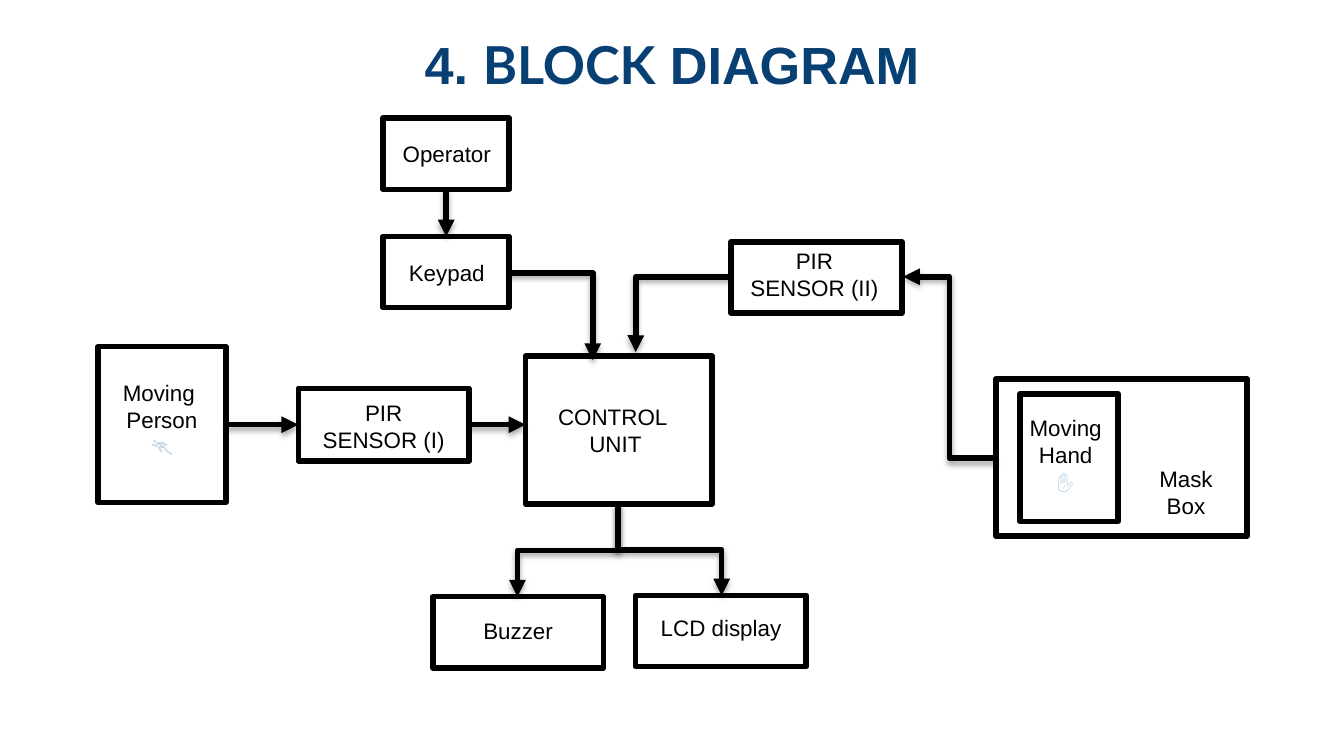
from lxml import etree
from pptx import Presentation
from pptx.dml.color import RGBColor
from pptx.enum.shapes import MSO_CONNECTOR, MSO_SHAPE
from pptx.enum.text import MSO_ANCHOR, PP_ALIGN
from pptx.oxml import parse_xml
from pptx.oxml.ns import nsdecls, qn
from pptx.util import Inches, Pt

RECTANGLE = MSO_SHAPE.RECTANGLE
STRAIGHT, ELBOW = MSO_CONNECTOR.STRAIGHT, MSO_CONNECTOR.ELBOW
CENTER, TOP = PP_ALIGN.CENTER, MSO_ANCHOR.TOP
BLACK = RGBColor(0x00, 0x00, 0x00)
NAVY = RGBColor(0x09, 0x40, 0x73)
PALE_BLUE = RGBColor(0xC6, 0xDA, 0xEC)
TOP_SIDE, LEFT_SIDE, BOTTOM_SIDE, RIGHT_SIDE = range(4)
SLIDE_WIDTH = Inches(10)
SLIDE_HEIGHT = SLIDE_WIDTH * 9 // 16

TITLE = [("4. ", "Arial"), ("BLOCK", "Lato"), (" DIAGRAM", "Arial")]
TITLE_AREA = (0.1, 0.19, 9.8, 0.69)

BLOCKS = {
    "person": (0.73, 2.58, 0.95, 1.16),
    "sensor 1": (2.22, 2.89, 1.27, 0.54),
    "controller": (3.91, 2.65, 1.39, 1.1),
    "mask box": (7.41, 2.82, 1.87, 1.17),
    "hand": (7.59, 2.93, 0.73, 0.95),
    "sensor 2": (5.44, 1.8, 1.27, 0.53),
    "buzzer": (3.22, 4.44, 1.27, 0.53),
    "display": (4.73, 4.43, 1.27, 0.53),
    "operator": (2.85, 0.88, 0.94, 0.53),
    "keypad": (2.85, 1.76, 0.94, 0.53),
}

LABELS = [
    (["Moving ", "Person"], "🏃", (0.73, 2.77, 0.95, 0.94)),
    (["PIR SENSOR (I)"], None, (2.28, 2.92, 1.15, 0.5)),
    (["CONTROL \nUNIT"], None, (3.96, 2.95, 1.24, 0.5)),
    (["Operator"], None, (2.86, 0.99, 0.93, 0.3)),
    (["PIR SENSOR (II)"], None, (5.47, 1.79, 1.18, 0.5)),
    (["Mask", "Box"], None, (8.46, 3.41, 0.73, 0.5)),
    (["Buzzer"], None, (3.28, 4.54, 1.15, 0.3)),
    (["LCD display"], None, (4.79, 4.52, 1.15, 0.3)),
    (["Moving", "Hand"], "✋", (7.51, 3.03, 0.84, 0.91)),
    (["Keypad"], None, (2.86, 1.88, 0.93, 0.3)),
]

STRAIGHT_ARROWS = [
    ((1.68, 3.16), (2.22, 3.16), ("person", RIGHT_SIDE), ("sensor 1", LEFT_SIDE)),
    ((3.49, 3.16), (3.91, 3.16), ("sensor 1", RIGHT_SIDE), None),
    ((3.32, 1.41), (3.32, 1.76), ("operator", BOTTOM_SIDE), ("keypad", TOP_SIDE)),
]
SIDEWAYS_ARROWS = [
    ((7.41, 3.41), (6.72, 2.06), "bentConnector3", None),
    ((5.44, 2.06), (4.73, 2.62), "bentConnector3", 99800),
    ((3.79, 2.03), (4.41, 2.68), "bentConnector2", None),
]
DOWNWARD_ARROWS = [((4.6, 3.75), (3.85, 4.44)), ((4.6, 3.75), (5.37, 4.43))]

LABEL_FONT = {"name": "Arial", "size": Pt(12), "bold": False}
ICON_FONT = {"name": "Arial Narrow", "size": Pt(12), "bold": False}
SHADOW = (
    f'<a:effectLst {nsdecls("a")}><a:outerShdw blurRad="{Pt(3.1)}" '
    f'dist="{Pt(1.8)}" dir="5400000" rotWithShape="0"><a:srgbClr val="000000">'
    '<a:alpha val="35000"/></a:srgbClr></a:outerShdw></a:effectLst>'
)


def inches(values):
    return [Inches(value) for value in values]


def add_spans(para, text, font_format, color):
    for index, line in enumerate(text.split("\n")):
        if index:
            para.add_line_break()
        span = para.add_run()
        span.text = line
        for name, value in font_format.items():
            setattr(span.font, name, value)
        span.font.color.rgb = color


def add_title(page):
    title = page.shapes.title
    for name, value in zip(("left", "top", "width", "height"), inches(TITLE_AREA)):
        setattr(title, name, value)
    title.text_frame.vertical_anchor = TOP
    para = title.text_frame.paragraphs[0]
    para.alignment = CENTER
    for text, font in TITLE:
        add_spans(para, text, {"name": font, "size": Pt(28), "bold": True}, NAVY)


def add_block(page, area):
    block = page.shapes.add_shape(RECTANGLE, *inches(area))
    block.shadow.inherit = False
    block.fill.background()
    block.line.color.rgb = BLACK
    block.line.width = Pt(3)
    return block


def add_label(page, lines, icon, area):
    frame = page.shapes.add_textbox(*inches(area)).text_frame
    frame.word_wrap = True
    contents = [(line, LABEL_FONT, BLACK) for line in lines]
    if icon:
        contents.append((icon, ICON_FONT, PALE_BLUE))
    for index, content in enumerate(contents):
        para = frame.add_paragraph() if index else frame.paragraphs[0]
        para.alignment = CENTER
        add_spans(para, *content)


def add_arrow(page, kind, begin, end):
    arrow = page.shapes.add_connector(kind, *inches((*begin, *end)))
    arrow.line.color.rgb = BLACK
    arrow.line.width = Pt(3)
    etree.SubElement(arrow.line._get_or_add_ln(), qn("a:tailEnd"), type="triangle")
    arrow._element.spPr.append(parse_xml(SHADOW))
    return arrow


def add_sideways_arrow(page, begin, end, preset, bend):
    arrow = add_arrow(page, ELBOW, begin, end)
    geometry = arrow._element.spPr.find(qn("a:prstGeom"))
    geometry.set("prst", preset)
    if bend:
        guides = geometry.find(qn("a:avLst"))
        etree.SubElement(guides, qn("a:gd"), name="adj1", fmla=f"val {bend}")


def add_downward_arrow(page, begin, end):
    middle_x, middle_y = (begin[0] + end[0]) / 2, (begin[1] + end[1]) / 2
    half_x, half_y = (end[0] - begin[0]) / 2, (end[1] - begin[1]) / 2
    arrow = add_arrow(
        page,
        ELBOW,
        (middle_x - half_y, middle_y + half_x),
        (middle_x + half_y, middle_y - half_x),
    )
    arrow._element.spPr.find(qn("a:xfrm")).set("rot", "5400000")


def main():
    deck = Presentation()
    deck.slide_width, deck.slide_height = SLIDE_WIDTH, SLIDE_HEIGHT
    page = deck.slides.add_slide(deck.slide_layouts[5])
    add_title(page)
    blocks = {name: add_block(page, area) for name, area in BLOCKS.items()}
    for label in LABELS:
        add_label(page, *label)
    for begin, end, source, target in STRAIGHT_ARROWS:
        arrow = add_arrow(page, STRAIGHT, begin, end)
        arrow.begin_connect(blocks[source[0]], source[1])
        if target:
            arrow.end_connect(blocks[target[0]], target[1])
    for sideways in SIDEWAYS_ARROWS:
        add_sideways_arrow(page, *sideways)
    for downward in DOWNWARD_ARROWS:
        add_downward_arrow(page, *downward)
    deck.save("out.pptx")


if __name__ == "__main__":
    main()
